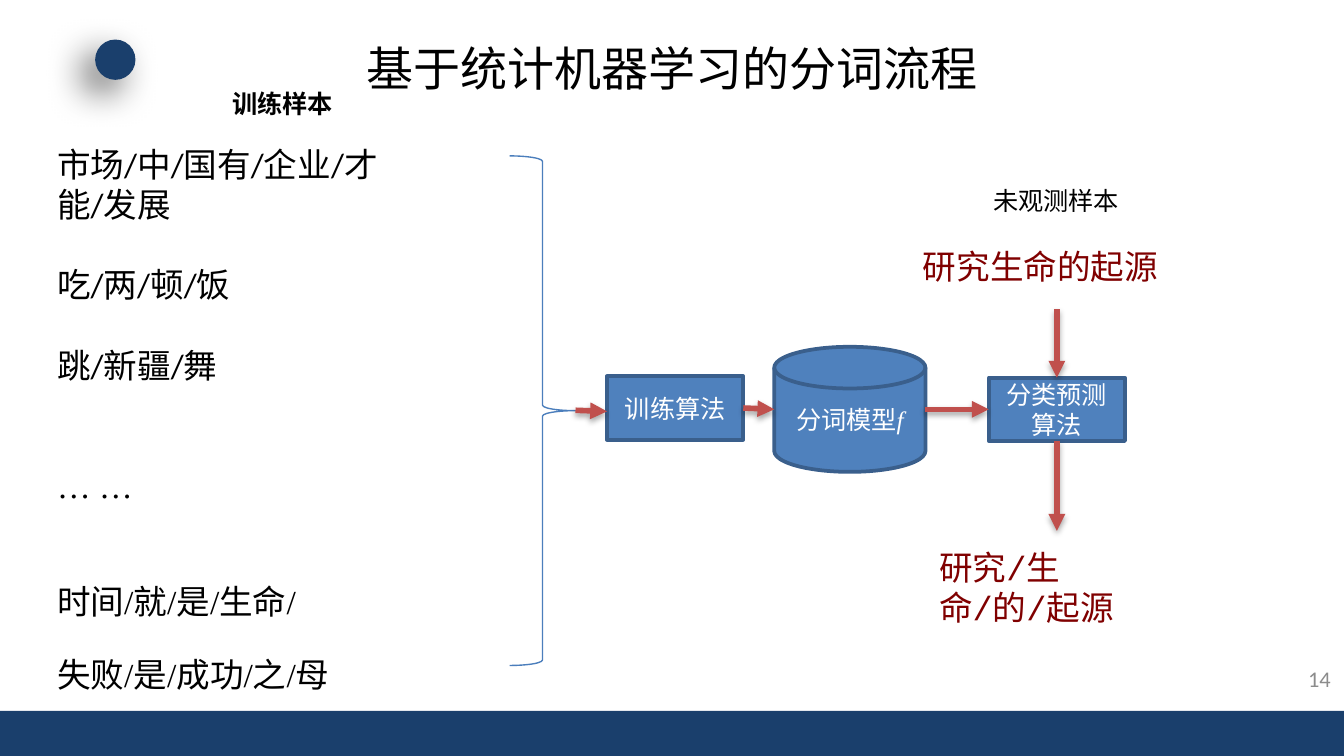
"""Slide: workflow of word segmentation by statistical machine learning."""
from lxml import etree
from pptx import Presentation
from pptx.dml.color import RGBColor
from pptx.enum.shapes import MSO_CONNECTOR, MSO_SHAPE
from pptx.enum.text import MSO_ANCHOR, PP_ALIGN
from pptx.oxml.ns import qn
from pptx.util import Pt

NAVY = RGBColor(0x1A, 0x3F, 0x6C)
BLUE = RGBColor(0x4F, 0x81, 0xBD)
EDGE = RGBColor(0x3A, 0x5F, 0x8C)
BRACE = RGBColor(0x4B, 0x7E, 0xBC)
RED = RGBColor(0xC0, 0x50, 0x4D)
MAROON = RGBColor(0x80, 0x00, 0x00)
GRAY = RGBColor(0x8C, 0x8C, 0x8C)
BLACK = RGBColor(0, 0, 0)
WHITE = RGBColor(255, 255, 255)
SANS, SERIF, MONO, LATIN = "Noto Sans CJK SC", "Times New Roman", "Courier New", "Calibri"


def add_run(p, text, size, font, color, bold=False, italic=False):
    r = p.add_run()
    r.text = text
    r.font.size = Pt(size)
    r.font.name = font
    r.font.color.rgb = color
    r.font.bold = bold
    r.font.italic = italic


def add_shadow(sp, blur, dist, angle, alpha):
    spPr = sp._element.spPr
    for old in spPr.findall(qn("a:effectLst")):
        spPr.remove(old)
    effects = etree.SubElement(spPr, qn("a:effectLst"))
    shadow = etree.SubElement(effects, qn("a:outerShdw"), blurRad=str(Pt(blur)),
                              dist=str(Pt(dist)), dir=str(angle * 60000), rotWithShape="0")
    clr = etree.SubElement(shadow, qn("a:srgbClr"), val="000000")
    etree.SubElement(clr, qn("a:alpha"), val=str(alpha * 1000))


prs = Presentation()
prs.slide_width, prs.slide_height = Pt(720), Pt(405)
s = prs.slides.add_slide(prs.slide_layouts[6])

for kind, x, y, w, h in [(MSO_SHAPE.RECTANGLE, 0, 380.9, 720, 24.1),
                         (MSO_SHAPE.OVAL, 51, 21.2, 21.6, 21.6)]:
    sp = s.shapes.add_shape(kind, Pt(x), Pt(y), Pt(w), Pt(h))
    sp.shadow.inherit = False
    sp.fill.solid()
    sp.fill.fore_color.rgb = NAVY
    sp.line.fill.background()
add_shadow(sp, 20, 10, 135, 60)

nodes = []
for kind, x, y, w, h, runs in [
    (MSO_SHAPE.FLOWCHART_MAGNETIC_DISK, 414.8, 185.8, 81, 67,
     [("分词模型", SANS, False), ("f", SERIF, True)]),
    (MSO_SHAPE.RECTANGLE, 325.2, 201.6, 73, 34, [("训练算法", SANS, False)]),
    (MSO_SHAPE.RECTANGLE, 529.7, 202.3, 73, 34, [("分类预测算法", SANS, False)]),
]:
    sp = s.shapes.add_shape(kind, Pt(x), Pt(y), Pt(w), Pt(h))
    sp.shadow.inherit = False
    sp.fill.solid()
    sp.fill.fore_color.rgb = BLUE
    sp.line.color.rgb = EDGE
    sp.line.width = Pt(2)
    tf = sp.text_frame
    tf.word_wrap = True
    tf.vertical_anchor = MSO_ANCHOR.MIDDLE
    p = tf.paragraphs[0]
    p.alignment = PP_ALIGN.CENTER
    for text, font, italic in runs:
        add_run(p, text, 13.5, font, WHITE, italic=italic)
    nodes.append(sp)
model, train, predict = nodes

sp = s.shapes.add_shape(MSO_SHAPE.RIGHT_BRACE, Pt(273), Pt(83.5), Pt(35.3), Pt(273))
sp.shadow.inherit = False
sp.fill.background()
sp.line.color.rgb = BRACE
sp.line.width = Pt(0.75)

for x1, y1, x2, y2, begin, end in [
    (398.2, 218.6, 414.8, 219.3, (train, 3), None),
    (308.3, 219.8, 325.2, 220.4, None, None),
    (495.8, 219.3, 529.7, 219.3, None, (predict, 1)),
    (566.2, 165.6, 566.2, 202.3, None, (predict, 0)),
    (566.2, 236.3, 566.2, 284.4, (predict, 2), None),
]:
    c = s.shapes.add_connector(MSO_CONNECTOR.STRAIGHT, Pt(x1), Pt(y1), Pt(x2), Pt(y2))
    if begin:
        c.begin_connect(*begin)
    if end:
        c.end_connect(*end)
    c.line.color.rgb = RED
    c.line.width = Pt(3)
    etree.SubElement(c.line._get_or_add_ln(), qn("a:tailEnd"), type="triangle")
    add_shadow(c, 3.1, 1.8, 90, 35)

for text, x, y, w, h, size, font, color, bold, align, anchor, wrap, right in [
    ("基于统计机器学习的分词流程", 36, 16.6, 648, 39.6, 25.2, SERIF, BLACK, False,
     PP_ALIGN.CENTER, MSO_ANCHOR.MIDDLE, True, 7.2),
    ("14", 687.6, 352.8, 32.4, 21.6, 12, LATIN, GRAY, False,
     PP_ALIGN.RIGHT, MSO_ANCHOR.MIDDLE, True, 7.2),
    ("训练样本", 117.4, 43.9, 69, 23.8, 13.5, SANS, BLACK, True,
     PP_ALIGN.LEFT, MSO_ANCHOR.TOP, False, 7.2),
    ("未观测样本", 524.9, 95.8, 82.8, 23.8, 13.5, SANS, BLACK, False,
     PP_ALIGN.LEFT, MSO_ANCHOR.TOP, False, 7.2),
    ("研究生命的起源", 487.4, 128.2, 141.8, 28.8, 18, MONO, MAROON, False,
     PP_ALIGN.LEFT, MSO_ANCHOR.TOP, False, 7.2),
    ("研究/生命/的/起源", 496, 289.4, 174.2, 28.8, 18, MONO, MAROON, False,
     PP_ALIGN.LEFT, MSO_ANCHOR.TOP, True, 52),
]:
    tf = s.shapes.add_textbox(Pt(x), Pt(y), Pt(w), Pt(h)).text_frame
    tf.word_wrap = wrap
    tf.vertical_anchor = anchor
    tf.margin_right = Pt(right)
    p = tf.paragraphs[0]
    p.alignment = align
    add_run(p, text, size, font, color, bold)

tf = s.shapes.add_textbox(Pt(23.5), Pt(73.4), Pt(254.2), Pt(284.4)).text_frame
tf.word_wrap = True
tf.margin_right = Pt(33)
for i, (words, before, spacing) in enumerate([
    (["市场", "中", "国有", "企业", "才能", "发展"], 0, 1),
    (["吃", "两", "顿", "饭"], 21.5, 1),
    (["跳", "新疆", "舞"], 21.5, 1),
    (["… …"], 43, 1),
    (["时间/就/是/生命/"], 43, 0.9),
    (["失败/是/成功/之/母"], 19.5, 0.9),
]):
    p = tf.add_paragraph() if i else tf.paragraphs[0]
    p.space_before = Pt(before)
    p.line_spacing = spacing
    for j, word in enumerate(words):
        if j:
            add_run(p, "/", 18, LATIN, BLACK)
        add_run(p, word, 18, SERIF, BLACK)

prs.save("out.pptx")
